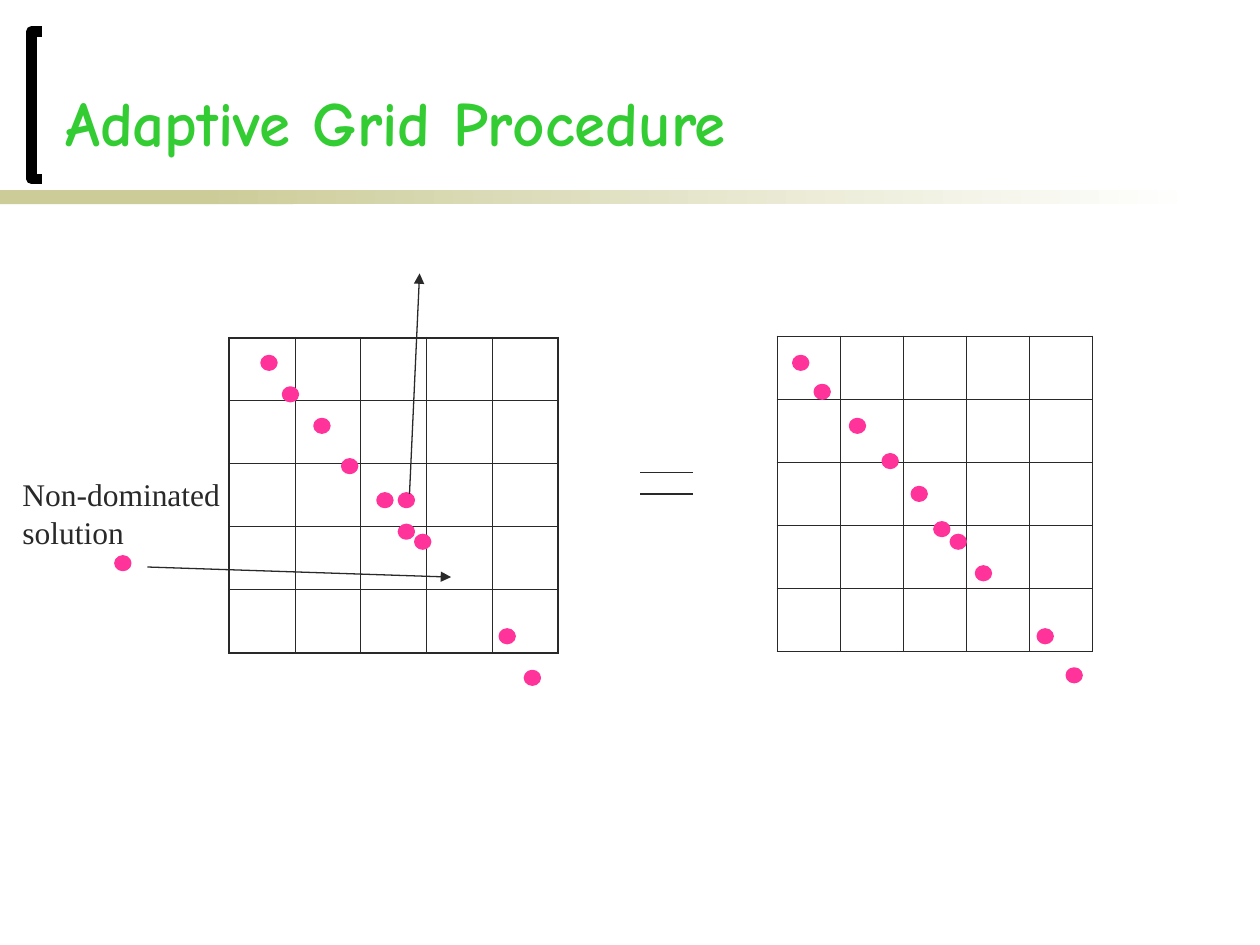
from lxml import etree
from pptx import Presentation
from pptx.dml.color import RGBColor
from pptx.enum.shapes import MSO_CONNECTOR, MSO_SHAPE
from pptx.enum.text import MSO_ANCHOR
from pptx.oxml.ns import qn
from pptx.util import Emu, Inches, Pt

RECT, OVAL = MSO_SHAPE.RECTANGLE, MSO_SHAPE.OVAL
STRAIGHT = MSO_CONNECTOR.STRAIGHT
TOP, BOTTOM = MSO_ANCHOR.TOP, MSO_ANCHOR.BOTTOM

INK, PINK, GREEN, SAND = "292929", "FF3399", "33CC33", "CCCC99"
GRID_N = 5
DOT_W, DOT_H = 0.11, 0.1
THIN, THICK = 0.45, 1.08

# Left and top of each dot, in inches, from upper left to lower right
BEFORE_DOTS = [(2.08, 2.83), (2.25, 3.08), (2.5, 3.33), (2.72, 3.65),
               (3, 3.92), (3.17, 3.92), (3.17, 4.17), (3.3, 4.25),
               (3.97, 5), (4.17, 5.33)]
AFTER_DOTS = [(6.3, 2.83), (6.47, 3.06), (6.75, 3.33), (7.01, 3.61),
              (7.24, 3.87), (7.42, 4.15), (7.55, 4.25), (7.75, 4.5),
              (8.24, 5), (8.47, 5.31)]
NEW_DOT = (0.92, 4.42)


def rgb(color):
    return RGBColor.from_string(color)


def box(*lengths):
    return [Inches(v) for v in lengths]


def add_shape(s, kind, *at):
    sp = s.shapes.add_shape(kind, *box(*at))
    sp.shadow.inherit = False
    sp.line.fill.background()
    return sp


def add_dot(s, x, y):
    sp = add_shape(s, OVAL, x, y, DOT_W, DOT_H)
    sp.fill.solid()
    sp.fill.fore_color.rgb = rgb(PINK)
    sp.line.color.rgb = rgb(PINK)
    sp.line.width = Pt(2)


def add_line(s, start, end, arrow=False):
    sp = s.shapes.add_connector(STRAIGHT, *box(*start, *end))
    sp.line.color.rgb = rgb(INK)
    sp.line.width = Pt(0.75)
    if arrow:
        etree.SubElement(sp.line._get_or_add_ln(), qn("a:tailEnd"), type="triangle")
    etree.SubElement(sp._element.spPr, qn("a:effectLst"))


def add_text(s, at, text, font, size, color, bold=False, anchor=TOP):
    tf = s.shapes.add_textbox(*box(*at)).text_frame
    tf.word_wrap = True
    tf.vertical_anchor = anchor
    r = tf.paragraphs[0].add_run()
    r.text = text
    r.font.name = font
    r.font.size = Pt(size)
    r.font.bold = bold
    r.font.color.rgb = rgb(color)


def set_borders(cell, widths):
    tc_pr = cell._tc.get_or_add_tcPr()
    for i, (side, width) in enumerate(widths.items()):
        ln = etree.Element(qn(f"a:ln{side}"), w=str(Pt(width)))
        fill = etree.SubElement(ln, qn("a:solidFill"))
        etree.SubElement(fill, qn("a:srgbClr"), val=INK)
        tc_pr.insert(i, ln)


def add_grid(s, x, y, width, height):
    """Square grid with thin inner lines and a thicker frame."""
    table = s.shapes.add_table(GRID_N, GRID_N, *box(x, y, width, height)).table
    table.first_row = table.horz_banding = False
    for col in table.columns:
        col.width = Emu(Inches(width) // GRID_N)
    last = GRID_N - 1
    for row in range(GRID_N):
        for col in range(GRID_N):
            cell = table.cell(row, col)
            cell.fill.background()
            on_frame = {"L": col == 0, "R": col == last,
                        "T": row == 0, "B": row == last}
            set_borders(cell, {side: THICK if edge else THIN
                               for side, edge in on_frame.items()})


def add_rule(s):
    """Solid band that fades out to the right."""
    y, h = 1.51, 0.11
    solid = add_shape(s, RECT, 0, y, 2.33, h)
    solid.fill.solid()
    solid.fill.fore_color.rgb = rgb(SAND)
    fade = add_shape(s, RECT, 1.58, y, 7.92, h)
    fade.fill.gradient()
    fade.fill.gradient_angle = 0
    for stop, color in zip(fade.fill.gradient_stops, (SAND, "FFFFFF")):
        stop.color.rgb = rgb(color)


def add_bracket(s):
    left, right, top, bottom = box(0.25, 0.33, 0.25, 1.42)
    builder = s.shapes.build_freeform(right, bottom)
    builder.add_line_segments([(left, bottom), (left, top), (right, top)], close=False)
    sp = builder.convert_to_shape()
    sp.shadow.inherit = False
    sp.fill.background()
    sp.line.color.rgb = rgb("000000")
    sp.line.width = Pt(6)


def main():
    prs = Presentation()
    prs.slide_width, prs.slide_height = box(10, 7.5)
    s = prs.slides.add_slide(prs.slide_layouts[6])

    # Heading
    add_rule(s)
    add_bracket(s)
    add_text(s, (0.42, 0.33, 9.31, 0.98), "Adaptive Grid Procedure",
             "Comic Neue", 36, GREEN, bold=True, anchor=BOTTOM)

    # Grid before: one solution enters, one leaves
    add_grid(s, 1.82, 2.68, 2.61, 2.5)
    for dot in BEFORE_DOTS + [NEW_DOT]:
        add_dot(s, *dot)
    add_line(s, (1.17, 4.5), (3.58, 4.58), arrow=True)
    add_line(s, (3.25, 3.92), (3.33, 2.17), arrow=True)

    # Equals sign
    for y in (3.75, 3.92):
        add_line(s, (5.08, y), (5.5, y))

    # Grid after
    add_grid(s, 6.17, 2.67, 2.5, 2.5)
    for dot in AFTER_DOTS:
        add_dot(s, *dot)

    # Label of the new solution
    add_text(s, (0.08, 3.72, 2, 1), "Non-dominated solution",
             "Times New Roman", 18, INK)

    prs.save("out.pptx")


if __name__ == "__main__":
    main()
